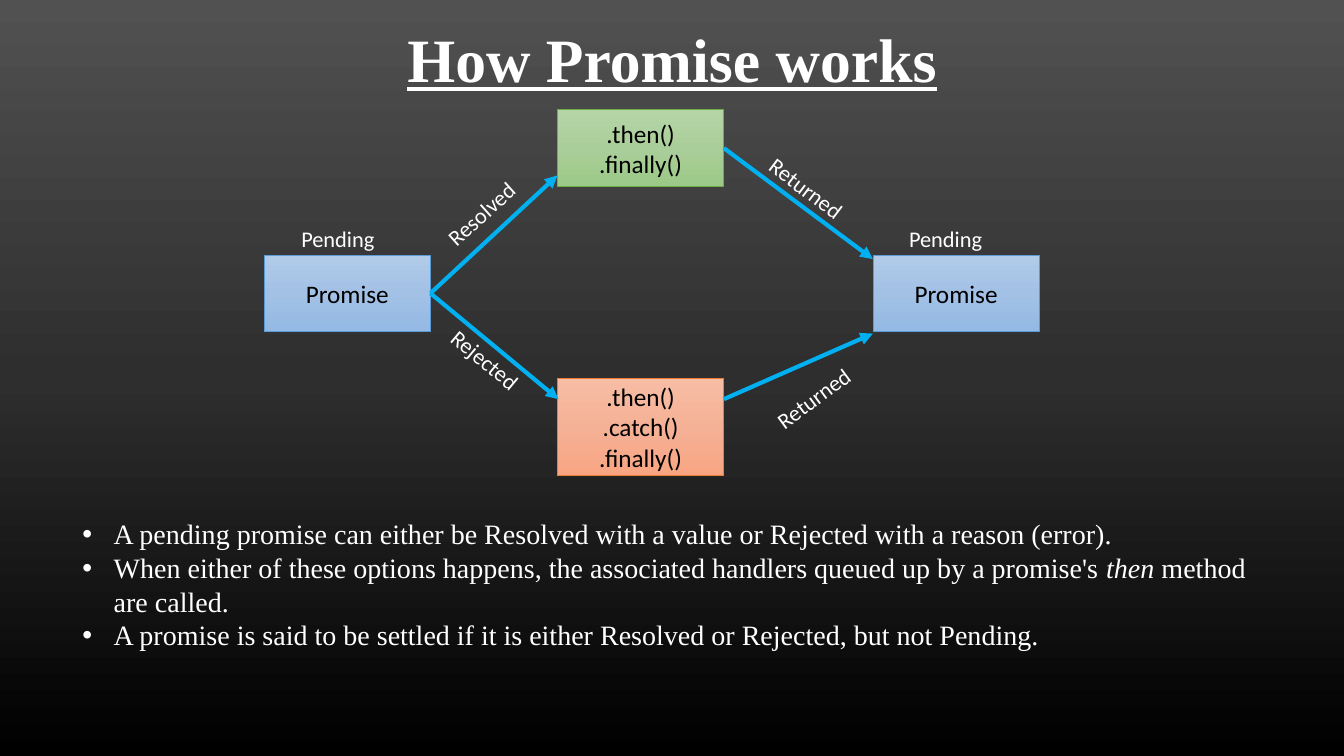
from copy import deepcopy
from pptx import Presentation
from pptx.dml.color import RGBColor
from pptx.enum.shapes import MSO_CONNECTOR as Link, MSO_SHAPE as Form
from pptx.enum.text import MSO_ANCHOR as Anchor, MSO_AUTO_SIZE as Fit, PP_ALIGN as Align
from pptx.oxml.ns import qn
from pptx.util import Inches, Pt
from lxml.etree import SubElement as Sub

deck = Presentation()
deck.slide_width, deck.slide_height = Inches(13.33), Inches(7.5)
slide = deck.slides.add_slide(deck.slide_layouts[6])
shapes = slide.shapes
col, row = deck.slide_width / 100, deck.slide_height / 100
hue = RGBColor.from_string


def at(*spans):
    return [int(span * unit) for span, unit in zip(spans, (col, row) * 2)]


def write(frame, lines, size, font, tint, align):
    for i, line in enumerate(lines):
        para = frame.add_paragraph() if i else frame.paragraphs[0]
        para.alignment = align
        para.font.size, para.font.name = Pt(size), font
        para.font.color.rgb = hue(tint)
        for j, part in enumerate(line.split("|")):
            run = para.add_run()
            run.text = part
            if j == 1:
                run.font.italic = True


fades = [(slide.element, slide.background.fill, ("515151", "2E2E2E", "000000"))]

title = shapes.add_textbox(*at(6.9, 0.93, 86.25, 14.67)).text_frame
title.word_wrap, title.vertical_anchor = True, Anchor.MIDDLE
write(title, ["How Promise works"], 44, "Times New Roman", "FFFFFF", Align.CENTER)
head = title.paragraphs[0]
head.line_spacing, head.font.bold, head.font.underline = 0.9, True, True

blue = ("B1CBE9", "A3C1E5", "93B9E4")
green = ("B5D5A7", "AACE9A", "9CC987")
red = ("F7BDA5", "F5B196", "F8A582")
boxes = []
for x, y, h, stops, edge, lines in [
    (19.65, 33.73, 10.13, blue, "5B9BD5", ["Promise"]),
    (41.48, 14.53, 10.13, green, "70AD47", [".then()", ".finally()"]),
    (41.48, 50, 12.93, red, "ED7D31", [".then()", ".catch()", ".finally()"]),
    (64.95, 33.73, 10.13, blue, "5B9BD5", ["Promise"]),
]:
    box = shapes.add_shape(Form.RECTANGLE, *at(x, y, 12.38, h))
    box.shadow.inherit = False
    box.line.color.rgb, box.line.width = hue(edge), Pt(0.5)
    box.text_frame.vertical_anchor = Anchor.MIDDLE
    write(box.text_frame, lines, 18, "Calibri", "000000", Align.CENTER)
    fades.append((box.element, box.fill, stops))
    boxes.append(box)

for root, fill, stops in fades:
    fill.gradient()
    fill.gradient_angle = 270
    ramp = next(root.iter(qn("a:gsLst")))
    ramp.insert(1, deepcopy(ramp[0]))
    for i, stop in enumerate(fill.gradient_stops):
        stop.color.rgb, stop.position = hue(stops[i]), i / 2

start, done, fail, last = boxes
for source, x, y, tox, toy in [
    (start, 32.03, 38.8, 41.48, 23.2),
    (start, 32.03, 38.8, 41.55, 52.8),
    (done, 53.86, 19.6, 64.95, 34.27),
    (None, 53.86, 52.8, 64.95, 44.13),
]:
    arrow = shapes.add_connector(Link.STRAIGHT, *at(x, y, tox, toy))
    if source:
        arrow.begin_connect(source, 3)
    arrow.line.color.rgb, arrow.line.width = hue("00B0F0"), Pt(3)
    Sub(arrow.line._get_or_add_ln(), qn("a:tailEnd"), type="triangle")
    Sub(arrow.element.spPr, qn("a:effectLst"))

for word, x, y, w, turn in [
    ("Resolved", 32.03, 25.73, 7.65, 318.2),
    ("Rejected", 32.4, 45.2, 7.5, 39.7),
    ("Pending", 21.68, 29.07, 6.98, 0),
    ("Returned", 56.1, 22.53, 7.88, 37.1),
    ("Returned", 56.63, 50.13, 7.88, 323.6),
    ("Pending", 66.9, 29.07, 6.98, 0),
]:
    label = shapes.add_textbox(*at(x, y, w, 4.93))
    label.rotation = turn
    label.text_frame.word_wrap = False
    label.text_frame.auto_size = Fit.SHAPE_TO_FIT_TEXT
    write(label.text_frame, [word], 16, "Calibri", "FFFFFF", Align.LEFT)

notes = shapes.add_textbox(*at(5.4, 67.73, 89.18, 19.33)).text_frame
notes.word_wrap, notes.auto_size = True, Fit.SHAPE_TO_FIT_TEXT
write(notes, [
    "A pending promise can either be Resolved with a value or Rejected with a reason (error).",
    "When either of these options happens, the associated handlers queued up by a promise's |then| method are called.",
    "A promise is said to be settled if it is either Resolved or Rejected, but not Pending.",
], 20, "Times New Roman", "FFFFFF", Align.LEFT)
dent = Inches(0.31)
for para in notes.paragraphs:
    props = para._p.get_or_add_pPr()
    props.set("marL", str(dent))
    props.set("indent", str(-dent))
    bullet = props.makeelement(qn("a:buChar"), {"char": "•"})
    props.insert(0, bullet)
    face = props.makeelement(qn("a:buFont"), {"typeface": "Arial"})
    props.insert(0, face)

deck.save("out.pptx")
